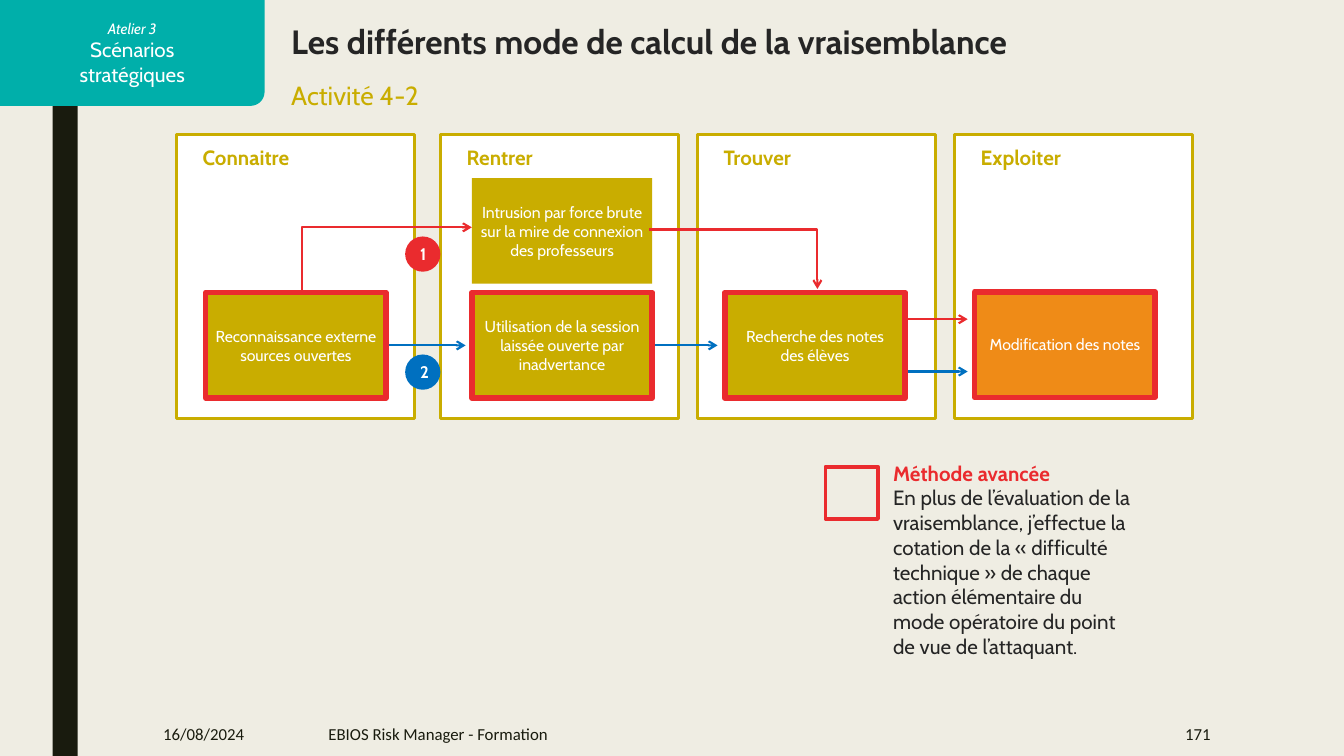
from math import cos, pi, sin

from lxml.etree import SubElement
from pptx import Presentation
from pptx.dml.color import RGBColor
from pptx.enum.shapes import MSO_CONNECTOR as Connector, MSO_SHAPE as Preset
from pptx.enum.text import MSO_ANCHOR as Anchor, PP_ALIGN as Align
from pptx.oxml.ns import qn
from pptx.util import Pt

GOLD, RED, BLUE, ORANGE = "C9AD00", "EA2B2E", "0070C0", "EF8B17"
TEAL, WHITE, INK, DARK, PAPER = "00AFAA", "FFFFFF", "252525", "191B0E", "EFEDE3"

PANELS = [(0, "Connaitre"), (188.6, "Rentrer"), (372.2, "Trouver"), (555.8, "Exploiter")]
STEPS = [
    (20.9, 112.8, "Reconnaissance externe sources ouvertes", GOLD, RED),
    (211, 31, "Intrusion par force brute sur la mire de connexion des professeurs", GOLD, None),
    (211, 112.8, "Utilisation de la session laissée ouverte par inadvertance", GOLD, RED),
    (391.7, 112.8, "Recherche des notes des élèves", GOLD, RED),
    (570.2, 112.3, "Modification des notes", ORANGE, RED),
]
ARROWS = [(144, 150.5, BLUE), (324, 150.5, BLUE), (502.6, 169.2, BLUE), (502.6, 131.8, RED)]
ELBOWS = [
    [(89.6, 112), (89.6, 66.2), (211, 66.2)],
    [(337.7, 67.7), (457.9, 67.7), (457.9, 110.2)],
]
BADGES = [(72.7, "1", RED), (157, "2", BLUE)]


def color(value):
    """Return the colour for a hex string."""
    return RGBColor.from_string(value)


def style(shape, fill=None, line=None, weight=2):
    """Set the fill and outline of a shape and remove its shadow."""
    shape.shadow.inherit = False
    if fill:
        shape.fill.solid()
        shape.fill.fore_color.rgb = color(fill)
    else:
        shape.fill.background()
    if line:
        shape.line.color.rgb = color(line)
        shape.line.width = Pt(weight)
    else:
        shape.line.fill.background()
    return shape


def add_preset(slide, preset, left, top, width, height, **look):
    """Add a styled preset shape."""
    shape = slide.shapes.add_shape(preset, Pt(left), Pt(top), Pt(width), Pt(height))
    return style(shape, **look)


def add_text_box(slide, left, top, width, height):
    """Add an empty text box."""
    return slide.shapes.add_textbox(Pt(left), Pt(top), Pt(width), Pt(height))


def add_freeform(slide, points, close, **look):
    """Add a styled outline through points."""
    builder = slide.shapes.build_freeform(Pt(points[0][0]), Pt(points[0][1]))
    builder.add_line_segments([(Pt(x), Pt(y)) for x, y in points[1:]], close=close)
    return style(builder.convert_to_shape(), **look)


def add_arrowhead(shape):
    """Put an open arrowhead at the end of a line."""
    SubElement(shape._element.spPr.find(qn("a:ln")), qn("a:tailEnd"), type="arrow")


def frame_text(shape, anchor=Anchor.TOP, margins=(7.2, 3.6, 7.2, 3.6)):
    """Set wrapping, anchor and margins, and return the text frame."""
    frame = shape.text_frame
    frame.word_wrap = True
    frame.vertical_anchor = anchor
    frame.margin_left, frame.margin_top, frame.margin_right, frame.margin_bottom = map(Pt, margins)
    return frame


def write(frame, text, size, ink, bold=False, italic=False, font="Cabin", align=Align.LEFT):
    """Write a formatted paragraph into a text frame."""
    paragraph = frame.paragraphs[0] if not frame.text else frame.add_paragraph()
    paragraph.alignment = align
    run = paragraph.add_run()
    run.text = text
    run.font.name, run.font.size = font, Pt(size)
    run.font.bold, run.font.italic = bold, italic
    run.font.color.rgb = color(ink)


def draw_banner(slide, left, top, width, height):
    """Draw the workshop banner with one rounded corner."""
    radius = 10
    angles = [step * pi / 24 for step in range(13)]
    corner = [
        (left + width - radius + radius * cos(angle), top + height - radius + radius * sin(angle))
        for angle in angles
    ]
    points = [(left, top), (left + width, top), *corner, (left, top + height)]
    frame = frame_text(add_freeform(slide, points, True, fill=TEAL), Anchor.MIDDLE)
    write(frame, "Atelier 3", 10.7, WHITE, italic=True, align=Align.CENTER)
    for line in ("Scénarios", "stratégiques"):
        write(frame, line, 14.7, WHITE, align=Align.CENTER)


def draw_heading(slide, left, top, width):
    """Place the title and the subtitle."""
    title = slide.shapes.title
    title.left, title.top, title.width, title.height = map(Pt, (left, top, width, 29))
    frame = frame_text(title, margins=(0, 0, 0, 0))
    write(frame, "Les différents mode de calcul de la vraisemblance", 24, INK, bold=True)
    subtitle = add_text_box(slide, left, top + 41.8, width, 22.5)
    write(frame_text(subtitle, margins=(0, 0, 0, 0)), "Activité 4-2", 18.7, GOLD)


def draw_arrow(slide, left, top, length, ink):
    """Draw a horizontal arrow."""
    arrow = slide.shapes.add_connector(
        Connector.STRAIGHT, Pt(left), Pt(top), Pt(left + length), Pt(top))
    arrow.line.color.rgb = color(ink)
    arrow.line.width = Pt(1.5)
    add_arrowhead(arrow)
    SubElement(arrow._element.spPr, qn("a:effectLst"))


def draw_diagram(slide, left, top, height):
    """Draw the four phases, their steps and the two attack paths."""
    for x, name in PANELS:
        panel = add_preset(slide, Preset.RECTANGLE, left + x, top, 170, height,
                           fill=WHITE, line=GOLD)
        write(frame_text(panel, margins=(18.7, 7.2, 15, 0)), name, 14.7, GOLD, bold=True)
    for x, y, ink in ARROWS:
        draw_arrow(slide, left + x, top + y, 62.6, ink)
    for x, y, text, fill, outline in STEPS:
        step = add_preset(slide, Preset.RECTANGLE, left + x, top + y, 128.9, 75.4,
                          fill=fill, line=outline, weight=4)
        write(frame_text(step, Anchor.MIDDLE, (6, 3.6, 6, 3.6)), text, 11.3, WHITE,
              align=Align.CENTER)
    for points in ELBOWS:
        elbow = add_freeform(slide, [(left + x, top + y) for x, y in points], False,
                             line=RED, weight=1.5)
        add_arrowhead(elbow)
    for y, number, fill in BADGES:
        badge = add_preset(slide, Preset.OVAL, left + 163.4, top + y, 25.2, 25.2, fill=fill)
        write(frame_text(badge, Anchor.MIDDLE), number, 12, WHITE, bold=True, align=Align.CENTER)


def draw_legend(slide, left, top, width):
    """Draw the key of the red frames."""
    add_preset(slide, Preset.RECTANGLE, left, top + 4.3, 37.4, 37.4, line=RED, weight=2.75)
    text = add_text_box(slide, left + 48.2, top, width - 48.2, 89.3)
    frame = frame_text(text, margins=(0, 0, 0, 0))
    write(frame, "Méthode avancée", 14.7, RED, bold=True)
    write(frame, "En plus de l’évaluation de la vraisemblance, j’effectue la cotation de la "
          "« difficulté technique » de chaque action élémentaire du mode opératoire du point "
          "de vue de l’attaquant.", 14.7, INK)


def draw_footer(slide, left, top, height):
    """Write the date, the course name and the page number."""
    for x, width, text, align in (
        (0, 95, "16/08/2024", Align.LEFT),
        (118.1, 494.6, "EBIOS Risk Manager - Formation", Align.LEFT),
        (636.5, 126, "171", Align.RIGHT),
    ):
        frame = frame_text(add_text_box(slide, left + x, top, width, height), Anchor.MIDDLE)
        write(frame, text, 12, DARK, font="Calibri", align=align)


def main():
    """Build the slide and save it."""
    presentation = Presentation()
    presentation.slide_width, presentation.slide_height = Pt(960), Pt(540)
    slide = presentation.slides.add_slide(presentation.slide_layouts[5])
    slide.background.fill.solid()
    slide.background.fill.fore_color.rgb = color(PAPER)
    add_preset(slide, Preset.RECTANGLE, 37.5, 0, 18, 540, fill=DARK)
    draw_banner(slide, 0, 0, 189, 75.6)
    draw_heading(slide, 208, 15.1, 700)
    draw_diagram(slide, 126, 96.2, 203)
    draw_legend(slide, 589.7, 329, 218.2)
    draw_footer(slide, 109.4, 508.3, 31.7)
    presentation.save("out.pptx")


if __name__ == "__main__":
    main()
